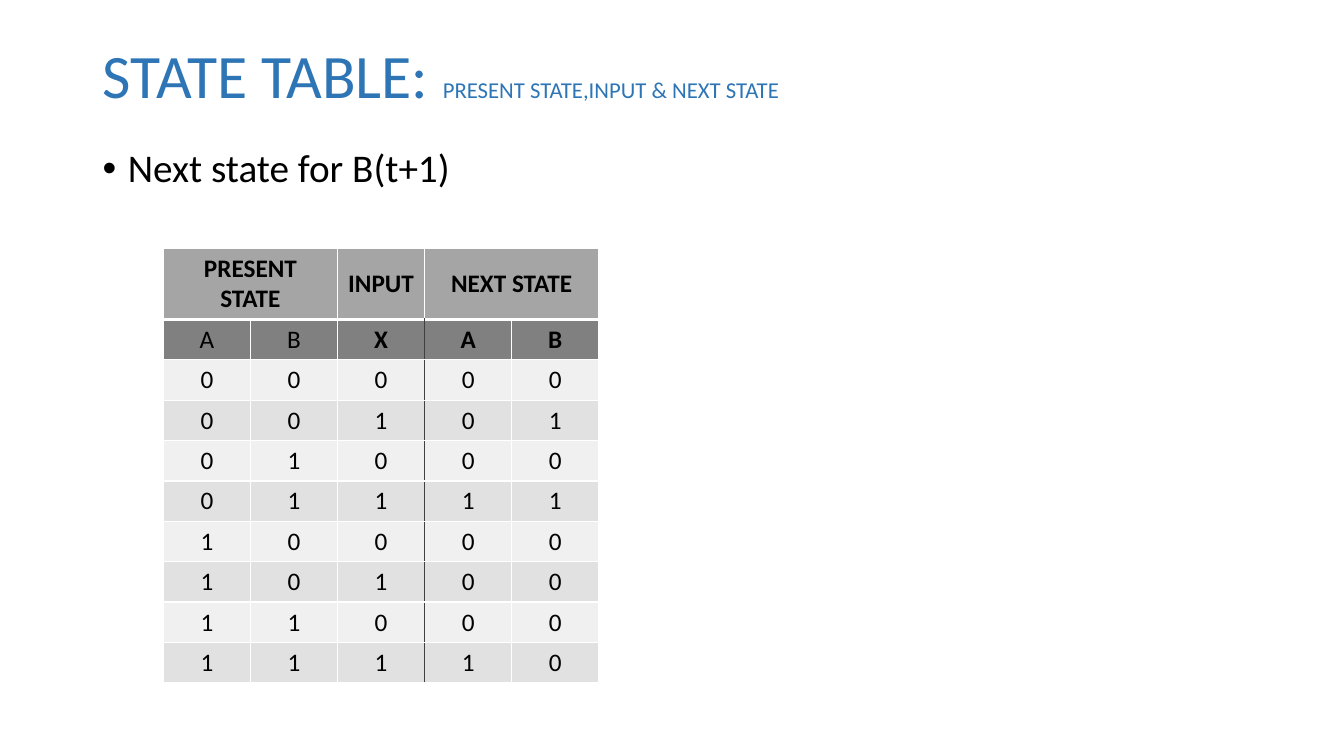
from lxml.etree import SubElement
from pptx import Presentation
from pptx.dml.color import RGBColor
from pptx.enum.text import MSO_ANCHOR, MSO_AUTO_SIZE, PP_ALIGN
from pptx.oxml.ns import qn
from pptx.util import Inches, Pt


def style_font(font, size, color, bold=False):
    font.name = "Calibri"
    font.size = Pt(size)
    font.bold = bold
    font.color.rgb = RGBColor.from_string(color)


def add_border(cell, side, color, points):
    line = SubElement(cell._tc.get_or_add_tcPr(), qn(f"a:ln{side}"), w=str(Pt(points)))
    SubElement(SubElement(line, qn("a:solidFill")), qn("a:srgbClr"), val=color)


deck = Presentation()
deck.slide_width = Inches(13.33)
deck.slide_height = Inches(7.5)
page = deck.slides.add_slide(deck.slide_layouts[5])

title = page.shapes.title
title.left, title.top = Inches(0.92), Inches(0.4)
title.width, title.height = Inches(11.5), Inches(1.03)
title.text_frame.auto_size = MSO_AUTO_SIZE.NONE
title.text_frame.vertical_anchor = MSO_ANCHOR.TOP
para = title.text_frame.paragraphs[0]
para.alignment = PP_ALIGN.LEFT
para.line_spacing = 0.9
for text, size in (("STATE TABLE: ", 44.1), ("PRESENT STATE,INPUT & NEXT STATE", 16.2)):
    span = para.add_run()
    span.text = text
    style_font(span.font, size, "2E75B6")

box = page.shapes.add_textbox(Inches(0.92), Inches(1.43), Inches(11.5), Inches(5.32))
box.text_frame.word_wrap = True
para = box.text_frame.paragraphs[0]
para.text = "Next state for B(t+1)"
para.line_spacing = 0.9
properties = para._p.get_or_add_pPr()
properties.set("marL", str(Inches(0.25)))
properties.set("indent", str(Inches(-0.25)))
SubElement(properties, qn("a:buFont"), typeface="Arial")
SubElement(properties, qn("a:buChar"), char="•")
style_font(para.font, 28, "000000")

rows = [
    ["PRESENT STATE", "", "INPUT", "NEXT STATE", ""],
    "ABXAB",
    "00000",
    "00101",
    "01000",
    "01111",
    "10000",
    "10100",
    "11000",
    "11110",
]
frame = page.shapes.add_table(
    len(rows), 5, Inches(1.62), Inches(2.46), Inches(4.32), Inches(4.31)
)
table = frame.table
for row in table.rows:
    row.height = Inches(0.4)
table.rows[0].height = Inches(0.71)
for start in (0, 3):
    table.cell(0, start).merge(table.cell(0, start + 1))

for r, values in enumerate(rows):
    fill = ["A5A5A5", "808080"][r] if r < 2 else ["F0F0F0", "E1E1E1"][r % 2]
    for c, value in enumerate(values):
        cell = table.cell(r, c)
        add_border(cell, "L", "404040" if r and c == 3 else "FFFFFF", 1)
        add_border(cell, "R", "404040" if r and c == 2 else "FFFFFF", 1)
        add_border(cell, "T", "FFFFFF", 3 if r == 1 else 1)
        add_border(cell, "B", "FFFFFF", 3 if r == 0 else 1)
        cell.fill.solid()
        cell.fill.fore_color.rgb = RGBColor.from_string(fill)
        if cell.is_spanned:
            continue
        cell.vertical_anchor = MSO_ANCHOR.MIDDLE
        cell.text = value
        para = cell.text_frame.paragraphs[0]
        para.alignment = PP_ALIGN.CENTER
        style_font(para.font, 18, "000000", r == 0 or (r == 1 and c >= 2))

deck.save("out.pptx")
